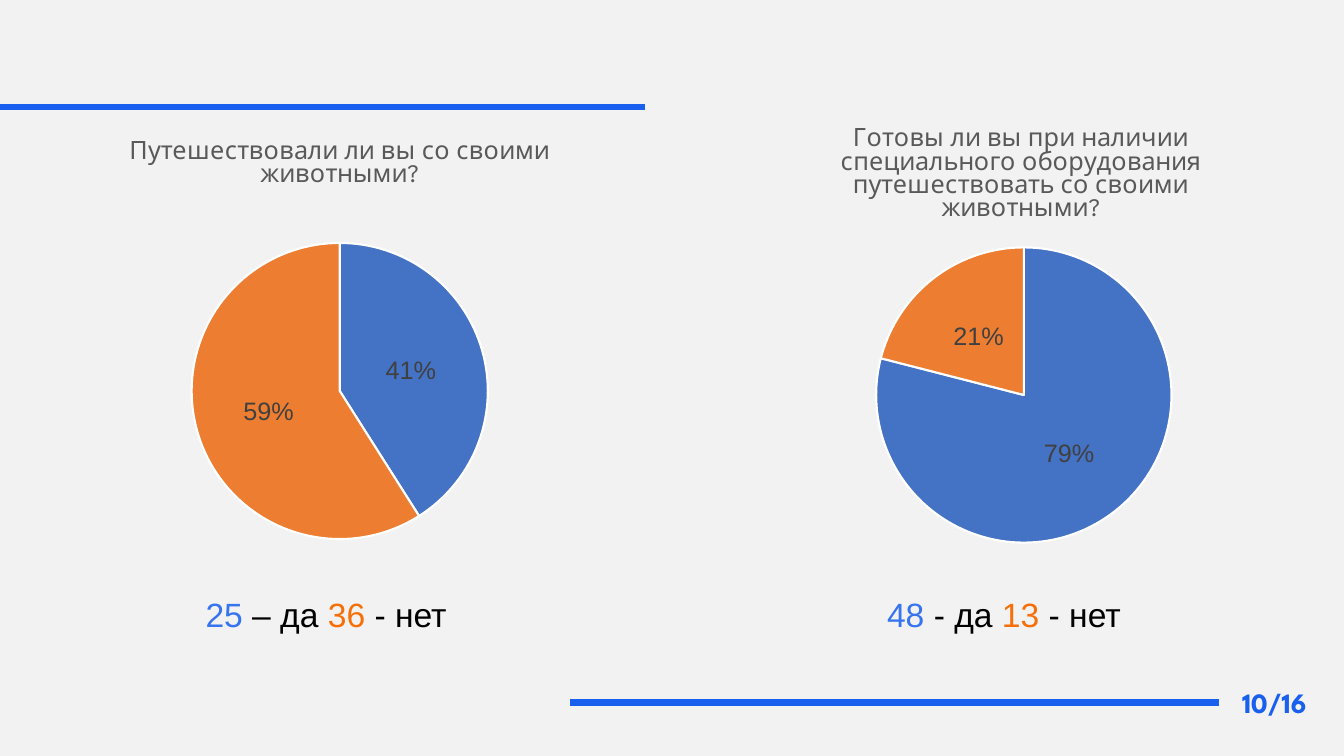
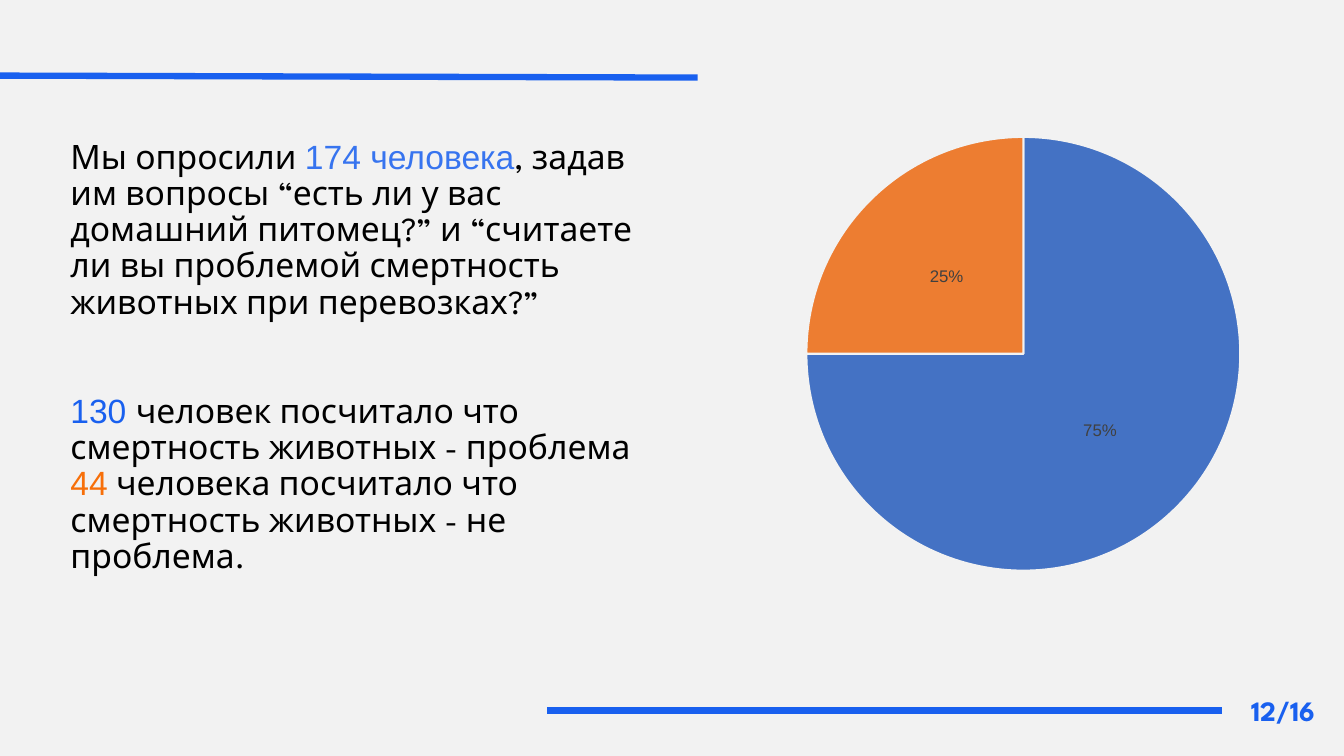
"""Build two survey slides with pie charts, rules and page numbers."""
import pptx
import pptx.chart.data
import pptx.dml.color
import pptx.enum.chart
import pptx.enum.shapes
import pptx.enum.text
import pptx.oxml
import pptx.oxml.ns
import pptx.util
import lxml.etree

PX = 9144
HEAD, BODY = "League Spartan", "Arial"
BACK, BLUE, BLACK = "F2F2F2", "1960EF", "000000"
YES, NO = "3774EF", "F76F09"
SLICES = ["4472C4", "ED7D31"]


def rgb(value):
    return pptx.dml.color.RGBColor.from_string(value)


def add_text(s, box, paragraphs, size, bold=False):
    sp = s.shapes.add_textbox(*[v * PX for v in box])
    tf = sp.text_frame
    tf.word_wrap = True
    for i, runs in enumerate(paragraphs):
        p = tf.paragraphs[0] if i == 0 else tf.add_paragraph()
        for text, color, font in runs:
            r = p.add_run()
            r.text = text
            r.font.size = pptx.util.Pt(size)
            r.font.name = font
            r.font.bold = bold
            r.font.color.rgb = rgb(color)
    return tf


prs = pptx.Presentation()
prs.slide_width = 1333 * PX
prs.slide_height = 750 * PX

pages = [
    {
        "number": "10/16", "number_box": (1222, 675, 111, 43),
        "rules": [(0, 106, 640, 106), (565, 697, 1209, 697)],
        "charts": [
            {"box": (42, 119, 590, 452), "values": (41, 59), "size": 18, "edge": "FFFFFF",
             "title": "Путешествовали ли вы со своими животными?",
             "plot": (0.25, 0.27, 0.5, 0.65)},
            {"box": (713, 106, 599, 465), "values": (79, 21), "size": 18, "edge": "FFFFFF",
             "title": "Готовы ли вы при наличии специального оборудования "
                      "путешествовать со своими животными?",
             "plot": (0.26, 0.3, 0.49, 0.63)},
        ],
    },
    {
        "number": "12/16", "number_box": (1231, 683, 96, 43),
        "rules": [(0, 75, 692, 77), (543, 705, 1212, 705)],
        "charts": [
            {"box": (696, 122, 638, 458), "values": (75, 25), "size": 12, "edge": BACK,
             "title": None, "plot": None},
        ],
    },
]

slides = []
for page in pages:
    s = prs.slides.add_slide(prs.slide_layouts[6])
    slides.append(s)
    s.background.fill.solid()
    s.background.fill.fore_color.rgb = rgb(BACK)

    for item in page["charts"]:
        data = pptx.chart.data.CategoryChartData()
        data.categories = ["1", "2"]
        data.add_series("Series 1", item["values"])
        chart = s.shapes.add_chart(
            pptx.enum.chart.XL_CHART_TYPE.PIE, *[v * PX for v in item["box"]], data).chart
        chart.font.name = BODY
        chart.font.size = pptx.util.Pt(10)
        chart.font.color.rgb = rgb(BLACK)
        chart.has_legend = False
        chart.has_title = item["title"] is not None
        if item["title"]:
            tf = chart.chart_title.text_frame
            tf.text = item["title"]
            font = tf.paragraphs[0].runs[0].font
            font.name = HEAD
            font.size = pptx.util.Pt(18)
            font.bold = False
            font.color.rgb = rgb("595959")

        plot = chart.plots[0]
        plot.vary_by_categories = True
        for i, color in enumerate(SLICES):
            fmt = plot.series[0].points[i].format
            fmt.fill.solid()
            fmt.fill.fore_color.rgb = rgb(color)
            fmt.line.color.rgb = rgb(item["edge"])
            fmt.line.width = pptx.util.Pt(1.5)
        plot.has_data_labels = True
        labels = plot.data_labels
        labels.show_percentage = True
        labels.show_value = False
        labels.number_format = "0%"
        labels.number_format_is_linked = False
        labels.position = pptx.enum.chart.XL_LABEL_POSITION.CENTER
        labels.font.name = BODY
        labels.font.size = pptx.util.Pt(item["size"])
        labels.font.color.rgb = rgb("404040")

        if item["plot"]:
            area = chart.element.find(".//" + pptx.oxml.ns.qn("c:plotArea"))
            for old in area.findall(pptx.oxml.ns.qn("c:layout")):
                area.remove(old)
            layout = lxml.etree.Element(pptx.oxml.ns.qn("c:layout"))
            manual = lxml.etree.SubElement(layout, pptx.oxml.ns.qn("c:manualLayout"))
            settings = [("layoutTarget", "inner"), ("xMode", "edge"), ("yMode", "edge")]
            for tag, value in settings + list(zip("xywh", item["plot"])):
                node = lxml.etree.SubElement(manual, pptx.oxml.ns.qn("c:" + tag))
                node.set("val", str(value))
            area.insert(0, layout)

    for ends in page["rules"]:
        rule = s.shapes.add_connector(
            pptx.enum.shapes.MSO_CONNECTOR.STRAIGHT, *[v * PX for v in ends])
        rule.line.color.rgb = rgb(BLUE)
        rule.line.width = pptx.util.Pt(4.5)
        lxml.etree.SubElement(rule._element.spPr, pptx.oxml.ns.qn("a:effectLst"))

    add_text(s, page["number_box"], [[(page["number"], BLUE, HEAD)]], 20, bold=True)

for left, yes, dash, no in [(194, "25", "–", "36"), (870, "48", "-", "13")]:
    runs = [(yes, YES, BODY), (f" {dash} да ", BLACK, BODY),
            (no, NO, BODY), (" - нет", BLACK, BODY)]
    add_text(slides[0], (left, 584, 286, 50), [runs], 24)

survey = [
    [("Мы опросили ", BLACK, HEAD), ("174 человека", YES, BODY),
     (", задав им вопросы “есть ли у вас домашний питомец?” и “считаете ли вы "
      "проблемой смертность животных при перевозках?”", BLACK, HEAD)],
    [("130 ", BLUE, BODY),
     ("человек посчитало что смертность животных - проблема", BLACK, HEAD)],
    [("44", NO, BODY),
     (" человека посчитало что смертность животных - не проблема.", BLACK, HEAD)],
]
tf = add_text(slides[1], (60, 131, 624, 448), survey, 24)
tf.vertical_anchor = pptx.enum.text.MSO_ANCHOR.MIDDLE
for p in tf.paragraphs:
    p.line_spacing = 0.9
tf.paragraphs[1].space_before = pptx.util.Pt(52)

prs.save("out.pptx")
